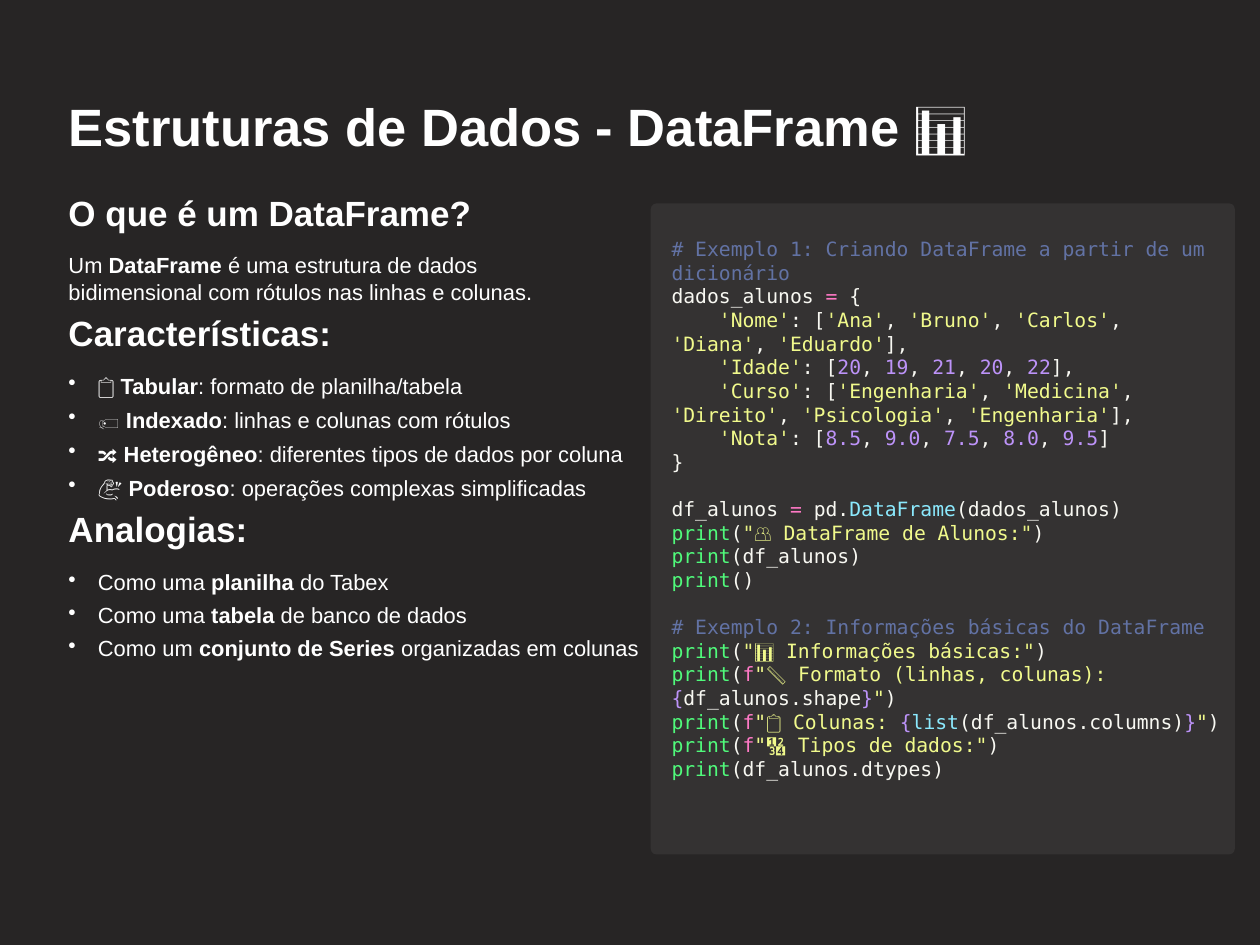
from typing import NamedTuple

from lxml.etree import SubElement
from pptx import Presentation
from pptx.dml.color import RGBColor
from pptx.enum.shapes import MSO_SHAPE
from pptx.enum.text import MSO_AUTO_SIZE
from pptx.oxml.ns import qn
from pptx.shapes.autoshape import Shape
from pptx.slide import Slide
from pptx.text.text import TextFrame, _Paragraph
from pptx.util import Cm, Pt

BACKGROUND = RGBColor(0x27, 0x25, 0x25)
CARD = RGBColor(0x34, 0x32, 0x32)
WHITE = RGBColor(0xFF, 0xFF, 0xFF)
PLAIN = RGBColor(0xF8, 0xF8, 0xF2)
COMMENT = RGBColor(0x62, 0x72, 0xA4)
KEYWORD = RGBColor(0xFF, 0x79, 0xC6)
QUOTE = RGBColor(0xE9, 0xF2, 0x84)
STRING = RGBColor(0xF1, 0xFA, 0x8C)
NUMBER = RGBColor(0xBD, 0x93, 0xF9)
FUNCTION = RGBColor(0x50, 0xFA, 0x7B)
TYPE = RGBColor(0x8B, 0xE9, 0xFD)

BODY_FONT = "Arial"
CODE_FONT = "DejaVu Sans Mono"
SLIDE_WIDTH, SLIDE_HEIGHT = 40.64, 30.48
LEFT = 2.21
DEFINITION_WIDTH = 17.45
BULLET_WIDTH = 18.7


class Span(NamedTuple):
    text: str
    color: RGBColor = WHITE
    bold: bool = False


class Heading(NamedTuple):
    text: str
    top: float
    width: float = 14
    height: float = 1.04
    size: float = 32
    leading: float = 29


class BulletList(NamedTuple):
    top: float
    step: float
    items: list[tuple[str, str, str]]


class CodeLine(NamedTuple):
    spans: list[Span]
    gap_before: float = 0


HEADINGS = [
    Heading("Estruturas de Dados - DataFrame 📊", 3.35, 30, 1.75, 48, 48.5),
    Heading("O que é um DataFrame?", 6.5),
    Heading("Características:", 10.39),
    Heading("Analogias:", 16.71),
]
DEFINITION = ("Um ", "DataFrame",
              " é uma estrutura de dados bidimensional com rótulos nas linhas e colunas.")
BULLET_LISTS = [
    BulletList(11.97, 1.1, [
        ("📋 ", "Tabular", ": formato de planilha/tabela"),
        ("🏷️ ", "Indexado", ": linhas e colunas com rótulos"),
        ("🔀 ", "Heterogêneo", ": diferentes tipos de dados por coluna"),
        ("💪 ", "Poderoso", ": operações complexas simplificadas"),
    ]),
    BulletList(18.31, 1.07, [
        ("Como uma ", "planilha", " do Tabex"),
        ("Como uma ", "tabela", " de banco de dados"),
        ("Como um ", "conjunto de Series", " organizadas em colunas"),
    ]),
]


def quoted(text: str, mark: str = "'") -> list[Span]:
    """Return a string literal with its quotation marks."""
    return [Span(mark, QUOTE), Span(text, STRING), Span(mark, QUOTE)]


def number(text: str) -> list[Span]:
    """Return a numeric literal."""
    return [Span(text, NUMBER)]


def field(key: str, values: list[list[Span]], end: str = "],") -> CodeLine:
    """Return one dictionary entry holding a list of values."""
    spans = [Span("    ", PLAIN), *quoted(key), Span(": [", PLAIN)]
    for i, value in enumerate(values):
        spans += [Span(", ", PLAIN)] * (i > 0) + value
    return CodeLine(spans + [Span(end, PLAIN)])


def print_call(*argument: Span) -> CodeLine:
    """Return a print call around its argument."""
    return CodeLine([Span("print", FUNCTION), Span("(", PLAIN), *argument, Span(")", PLAIN)])


def f_string(label: str, *expression: Span) -> list[Span]:
    """Return a formatted string ending in a braced expression."""
    return [Span("f", KEYWORD), Span('"' + label, STRING), Span("{", NUMBER),
            *expression, Span("}", NUMBER), Span('"', STRING)]


CODE = [
    CodeLine([Span("# Exemplo 1: Criando DataFrame a partir de um dicionário", COMMENT)]),
    CodeLine([Span("dados_alunos ", PLAIN), Span("=", KEYWORD), Span(" {", PLAIN)]),
    field("Nome", [quoted(v) for v in ("Ana", "Bruno", "Carlos", "Diana", "Eduardo")]),
    field("Idade", [number(v) for v in ("20", "19", "21", "20", "22")]),
    field("Curso", [quoted(v) for v in
                    ("Engenharia", "Medicina", "Direito", "Psicologia", "Engenharia")]),
    field("Nota", [number(v) for v in ("8.5", "9.0", "7.5", "8.0", "9.5")], "]"),
    CodeLine([Span("}", PLAIN)]),
    CodeLine([Span("df_alunos ", PLAIN), Span("= ", KEYWORD), Span("pd.", PLAIN),
              Span("DataFrame", TYPE), Span("(dados_alunos)", PLAIN)], 21.6),
    print_call(*quoted("👥 DataFrame de Alunos:", '"')),
    print_call(Span("df_alunos", PLAIN)),
    print_call(),
    CodeLine([Span("# Exemplo 2: Informações básicas do DataFrame", COMMENT)], 21.6),
    print_call(*quoted("📊 Informações básicas:", '"')),
    print_call(*f_string("📏 Formato (linhas, colunas): ", Span("df_alunos.shape", PLAIN))),
    print_call(*f_string("📋 Colunas: ", Span("list", TYPE), Span("(df_alunos.columns)", PLAIN))),
    print_call(Span("f", KEYWORD), Span('"🔢 Tipos de dados:"', STRING)),
    print_call(Span("df_alunos.dtypes", PLAIN)),
]


def add_spans(p: _Paragraph, spans: list[Span], font: str, size: float) -> None:
    """Append formatted runs to a paragraph."""
    for span in spans:
        r = p.add_run()
        r.text = span.text
        r.font.name = font
        r.font.size = Pt(size)
        r.font.bold = span.bold
        r.font.color.rgb = span.color


def add_panel(s: Slide, kind: MSO_SHAPE, left: float, top: float, width: float,
              height: float, color: RGBColor) -> Shape:
    """Add a filled shape without outline or shadow."""
    sp = s.shapes.add_shape(kind, Cm(left), Cm(top), Cm(width), Cm(height))
    sp.shadow.inherit = False
    sp.fill.solid()
    sp.fill.fore_color.rgb = color
    sp.line.fill.background()
    return sp


def add_text_box(s: Slide, top: float, width: float, height: float) -> TextFrame:
    """Add a text box without margins in the left column."""
    tf = s.shapes.add_textbox(Cm(LEFT), Cm(top), Cm(width), Cm(height)).text_frame
    tf.margin_left = tf.margin_right = tf.margin_top = tf.margin_bottom = 0
    tf.word_wrap = True
    return tf


def add_heading(s: Slide, heading: Heading) -> None:
    """Add a bold heading."""
    p = add_text_box(s, heading.top, heading.width, heading.height).paragraphs[0]
    p.line_spacing = Pt(heading.leading)
    add_spans(p, [Span(heading.text, bold=True)], BODY_FONT, heading.size)


def add_body(s: Slide, top: float, width: float, height: float,
             parts: tuple[str, str, str], bullet: bool) -> None:
    """Add a body text with a bold middle part and an optional bullet."""
    p = add_text_box(s, top, width, height).paragraphs[0]
    p.line_spacing = Pt(25)
    if bullet:
        pPr = p._p.get_or_add_pPr()
        pPr.set("marL", str(Cm(0.95)))
        pPr.set("indent", str(-Cm(0.95)))
        SubElement(pPr, qn("a:buChar")).set("char", "•")
    before, strong, after = parts
    add_spans(p, [Span(before), Span(strong, bold=True), Span(after)], BODY_FONT, 20)


def add_code(s: Slide) -> None:
    """Add the code card and its coloured lines."""
    card = add_panel(s, MSO_SHAPE.ROUNDED_RECTANGLE, 20.99, 6.56, 18.84, 21, CARD)
    card.adjustments[0] = 0.01
    tf = s.shapes.add_textbox(Cm(21.41), Cm(7.52), Cm(18.39), Cm(17.96)).text_frame
    tf.word_wrap = True
    tf.auto_size = MSO_AUTO_SIZE.SHAPE_TO_FIT_TEXT
    for i, line in enumerate(CODE):
        p = tf.add_paragraph() if i else tf.paragraphs[0]
        p.space_before = Pt(line.gap_before)
        add_spans(p, line.spans, CODE_FONT, 18)


def main() -> None:
    """Build the slide and save it."""
    prs = Presentation()
    prs.slide_width, prs.slide_height = Cm(SLIDE_WIDTH), Cm(SLIDE_HEIGHT)
    s = prs.slides.add_slide(prs.slide_layouts[6])
    add_panel(s, MSO_SHAPE.RECTANGLE, 0, 0, SLIDE_WIDTH, SLIDE_HEIGHT, BACKGROUND)
    for heading in HEADINGS:
        add_heading(s, heading)
    add_body(s, 8.08, DEFINITION_WIDTH, 1.75, DEFINITION, False)
    for bullets in BULLET_LISTS:
        for i, item in enumerate(bullets.items):
            add_body(s, bullets.top + i * bullets.step, BULLET_WIDTH, 0.9, item, True)
    add_code(s)
    prs.save("out.pptx")


if __name__ == "__main__":
    main()
